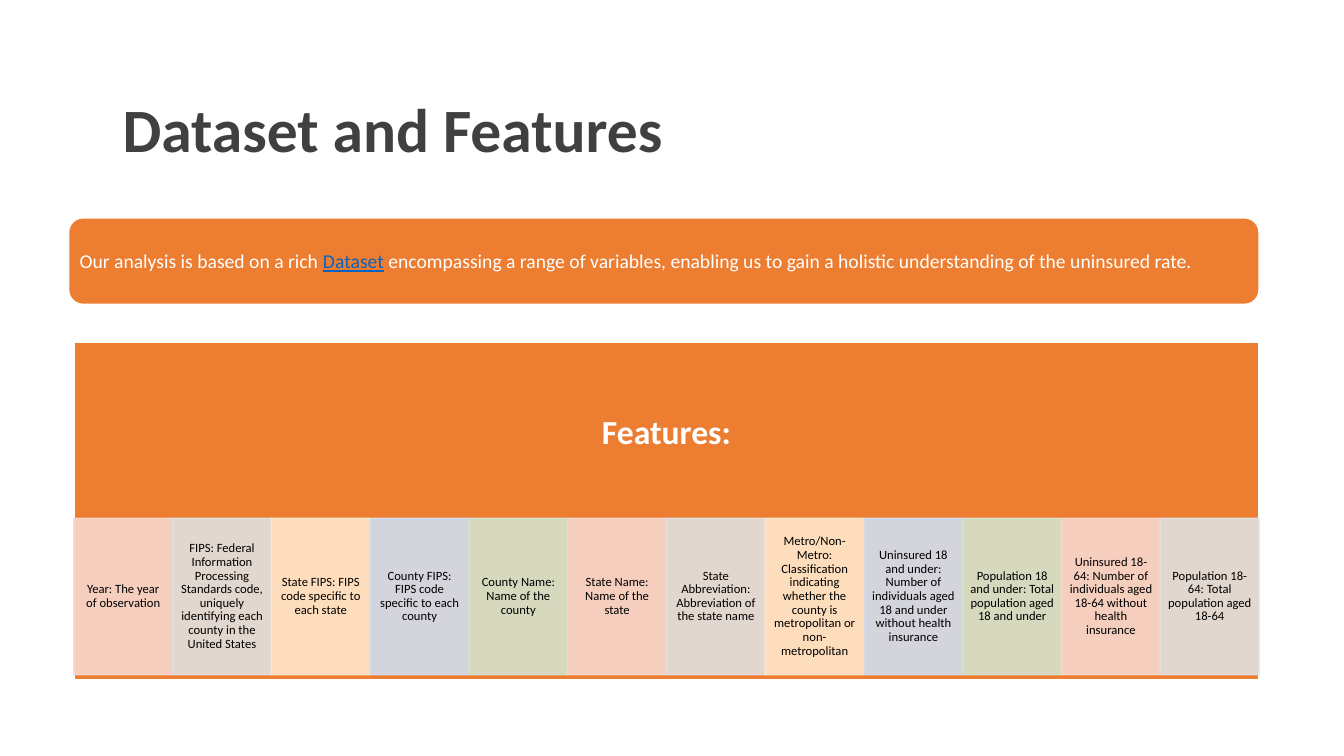
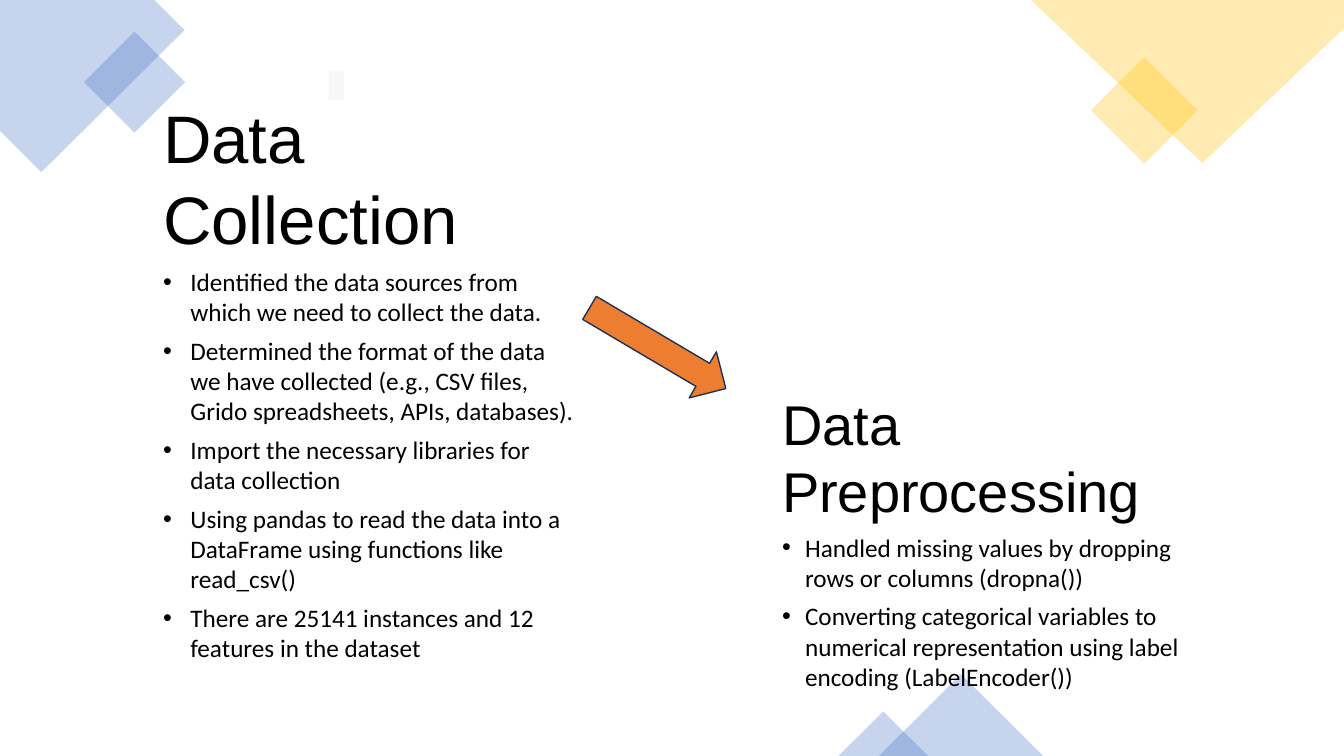
from dataclasses import dataclass
from typing import NamedTuple

from lxml.etree import SubElement
from pptx import Presentation
from pptx.dml.color import RGBColor
from pptx.enum.shapes import MSO_SHAPE as Shape
from pptx.enum.text import MSO_ANCHOR as Anchor, PP_ALIGN as Align
from pptx.oxml.ns import qn
from pptx.util import Cm, Pt

COLORS = {
    "orange": "ED7D31", "white": "FFFFFF", "black": "000000", "title": "404040",
    "link": "0563C1", "blue": "4472C4", "gold": "FFC000", "navy": "1E3256",
    "mark": "F7F7F7", "rose": "F8D7CE", "gray": "E1E1E1", "peach": "FFE8CC",
    "sky": "D2DEEF", "sage": "D5E3CF",
}


class Box(NamedTuple):
    """Left, top, width and height in centimetres."""
    x: float
    y: float
    w: float
    h: float


@dataclass
class Style:
    size: float
    color: str = "black"
    font: str = "Calibri"
    bold: bool = False
    underline: bool = False


@dataclass
class Decor:
    kind: Shape
    box: Box
    color: str
    rotation: float = 0


@dataclass
class Step:
    heading: str
    heading_size: float
    box: Box
    indent: float
    bullets: list[str]


# Shared drawing helpers

def rgb(name: str) -> RGBColor:
    return RGBColor.from_string(COLORS[name])


def paint(sp, fill: str, line: str = "", width: float = 1, alpha: int = 100) -> None:
    sp.shadow.inherit = False
    sp.fill.solid()
    sp.fill.fore_color.rgb = rgb(fill)
    if line:
        sp.line.color.rgb = rgb(line)
        sp.line.width = Pt(width)
    else:
        sp.line.fill.background()
    if alpha < 100:
        for color in sp.element.spPr.iter(qn("a:srgbClr")):
            SubElement(color, qn("a:alpha"), val=str(alpha * 1000))


def add_shape(s, kind: Shape, box: Box, fill: str, line: str = "", width: float = 1,
              alpha: int = 100, rotation: float = 0):
    sp = s.shapes.add_shape(kind, *map(Cm, box))
    paint(sp, fill, line, width, alpha)
    sp.rotation = rotation
    return sp


def add_outline(s, points: list[tuple[float, float]], fill: str, alpha: int) -> None:
    corners = [(Cm(x), Cm(y)) for x, y in points]
    builder = s.shapes.build_freeform(*corners[0])
    builder.add_line_segments(corners[1:], close=True)
    paint(builder.convert_to_shape(), fill, alpha=alpha)


def add_box(s, box: Box):
    tf = s.shapes.add_textbox(*map(Cm, box)).text_frame
    tf.word_wrap = True
    return tf


def set_margins(tf, side: float, edge: float) -> None:
    tf.margin_left = tf.margin_right = Cm(side)
    tf.margin_top = tf.margin_bottom = Cm(edge)


def style_run(r, style: Style) -> None:
    r.font.name, r.font.size = style.font, Pt(style.size)
    r.font.bold, r.font.underline = style.bold, style.underline
    r.font.color.rgb = rgb(style.color)


def write(p, text: str, style: Style, align: Align = Align.LEFT, spacing: float = 1) -> None:
    p.text = text
    p.alignment, p.line_spacing = align, spacing
    for r in p.runs:
        style_run(r, style)


def write_middle(tf, text: str, style: Style, align: Align = Align.CENTER) -> None:
    tf.word_wrap = True
    tf.vertical_anchor = Anchor.MIDDLE
    write(tf.paragraphs[0], text, style, align, 0.9)


def add_bullet(p, indent: float) -> None:
    pPr = p._p.get_or_add_pPr()
    pPr.set("marL", str(Cm(indent)))
    pPr.set("indent", str(-Cm(indent)))
    SubElement(pPr, qn("a:buFont"), typeface="Arial")
    SubElement(pPr, qn("a:buChar"), char="•")


# Slide 1: dataset and its features

BANNER = [
    ("Our analysis is based on a rich ", Style(14, "white")),
    ("Dataset", Style(14, "link", underline=True)),
    (" encompassing a range of variables, enabling us to gain a holistic "
     "understanding of the uninsured rate.", Style(14, "white")),
]
PANEL = Box(1.86, 8.61, 29.87, 8.53)
CELL_TOP, CELL_HEIGHT = 13.06, 3.94
CELL_COLORS = ["rose", "gray", "peach", "sky", "sage"]
FEATURES = [
    "Year: The year of observation",
    "FIPS: Federal Information Processing Standards code, uniquely identifying "
    "each county in the United States",
    "State FIPS: FIPS code specific to each state",
    "County FIPS: FIPS code specific to each county",
    "County Name: Name of the county",
    "State Name: Name of the state",
    "State Abbreviation: Abbreviation of the state name",
    "Metro/Non-Metro: Classification indicating whether the county is "
    "metropolitan or non-metropolitan",
    "Uninsured 18 and under: Number of individuals aged 18 and under without "
    "health insurance",
    "Population 18 and under: Total population aged 18 and under",
    "Uninsured 18-64: Number of individuals aged 18-64 without health insurance",
    "Population 18-64: Total population aged 18-64",
]


def build_features(s) -> None:
    title = add_box(s, Box(2.84, 1.88, 27.2, 2.92))
    write_middle(title, "Dataset and Features", Style(44, "title", bold=True), Align.LEFT)

    # Feature panel with one cell per variable
    add_shape(s, Shape.RECTANGLE, PANEL, "orange", "white", 1.5)
    header = add_box(s, PANEL._replace(h=4.62))
    set_margins(header, 0.48, 0.48)
    write_middle(header, "Features:", Style(24, "white", bold=True))
    width = PANEL.w / len(FEATURES)
    for i, feature in enumerate(FEATURES):
        color = CELL_COLORS[i % len(CELL_COLORS)]
        cell = Box(PANEL.x + i * width, CELL_TOP, width, CELL_HEIGHT)
        sp = add_shape(s, Shape.RECTANGLE, cell, color, color, alpha=90)
        set_margins(sp.text_frame, 0.18, 0.03)
        write_middle(sp.text_frame, feature, Style(9))

    # Introductory banner
    sp = add_shape(s, Shape.ROUNDED_RECTANGLE, Box(1.73, 5.49, 30, 2.18), "orange", "white")
    tf = sp.text_frame
    tf.word_wrap = True
    tf.vertical_anchor = Anchor.MIDDLE
    set_margins(tf, 0.17, 0.17)
    p = tf.paragraphs[0]
    p.alignment = Align.LEFT
    for text, style in BANNER:
        r = p.add_run()
        r.text = text
        style_run(r, style)


# Slide 2: collection and preprocessing

CORNERS = {
    "blue": [(3.89, 0), (0, 0), (0, 3.3), (1.04, 4.34), (4.65, 0.76)],
    "gold": [(33.87, 0), (25.98, 0), (30.3, 4.11), (33.87, 0.71)],
}
DECOR = [
    Decor(Shape.RECTANGLE, Box(2.49, 1.17, 1.8, 1.8), "blue", 315),
    Decor(Shape.RECTANGLE, Box(27.89, 1.83, 1.9, 1.9), "gold", 315),
    Decor(Shape.ISOSCELES_TRIANGLE, Box(22.15, 16.99, 4.14, 2.06), "blue"),
    Decor(Shape.ISOSCELES_TRIANGLE, Box(21.13, 17.93, 2.26, 1.12), "blue"),
]
STEPS = [
    Step("Data Preprocessing", 40, Box(19.46, 9.68, 11.18, 7.95), 0.58, [
        "Handled missing values by dropping rows or columns (dropna())",
        "Converting categorical variables to numerical representation using "
        "label encoding (LabelEncoder())",
    ]),
    Step("Data Collection", 48, Box(3.86, 2.31, 10.87, 16.5), 0.69, [
        "Identified the data sources from which we need to collect the data.",
        "Determined the format of the data we have collected (e.g., CSV files, "
        "Grido spreadsheets, APIs, databases).",
        "Import the necessary libraries for data collection",
        "Using pandas to read the data into a DataFrame using functions "
        "like read_csv()",
        "There are 25141 instances and 12 features in the dataset",
    ]),
]


def add_step(s, step: Step) -> None:
    tf = add_box(s, step.box)
    write(tf.paragraphs[0], step.heading, Style(step.heading_size, font="Arial"))
    for bullet in step.bullets:
        p = tf.add_paragraph()
        write(p, bullet, Style(18))
    for p in tf.paragraphs:
        p.space_after = Pt(6)
    for p in tf.paragraphs[1:]:
        add_bullet(p, step.indent)


def build_steps(s) -> None:
    # Corner and edge decoration
    for color, points in CORNERS.items():
        add_outline(s, points, color, 30)
    for d in DECOR:
        add_shape(s, d.kind, d.box, d.color, alpha=30, rotation=d.rotation)

    # Steps and the arrow between them
    for step in STEPS:
        add_step(s, step)
    add_shape(s, Shape.RECTANGLE, Box(8.28, 1.78, 0.38, 0.74), "mark")
    add_shape(s, Shape.RIGHT_ARROW, Box(14.58, 8.1, 3.99, 1.35), "orange", "navy",
              rotation=30.6)


def main() -> None:
    prs = Presentation()
    prs.slide_width, prs.slide_height = Cm(33.87), Cm(19.05)
    for build in (build_features, build_steps):
        build(prs.slides.add_slide(prs.slide_layouts[6]))
    prs.save("out.pptx")


if __name__ == "__main__":
    main()
